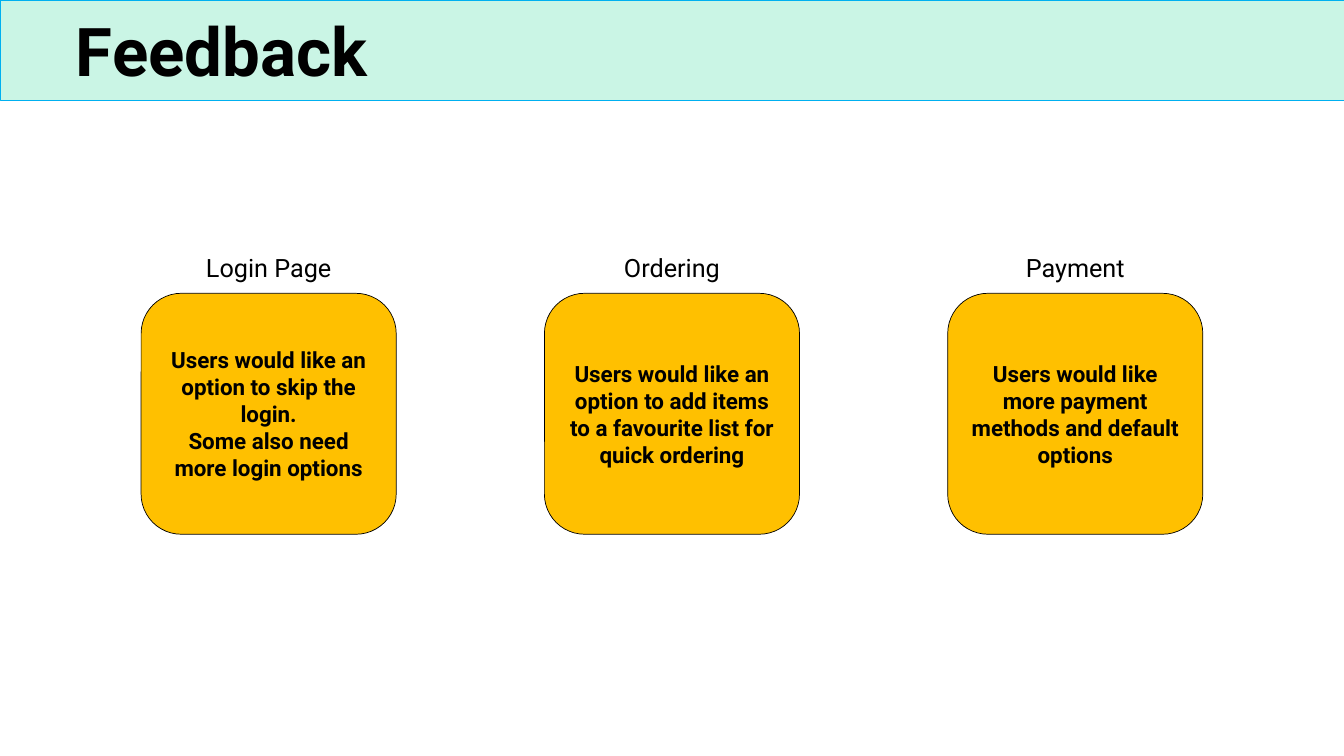
import pptx
import pptx.dml.color
import pptx.enum.shapes
import pptx.enum.text
import pptx.util

Inches = pptx.util.Inches
Pt = pptx.util.Pt
RGBColor = pptx.dml.color.RGBColor
SHAPE = pptx.enum.shapes.MSO_SHAPE

BLACK = RGBColor(0x00, 0x00, 0x00)
MINT = RGBColor(0xCA, 0xF5, 0xE5)
BLUE = RGBColor(0x00, 0xB0, 0xF0)
AMBER = RGBColor(0xFF, 0xC0, 0x00)
FONT = "Roboto"

SLIDE_WIDTH = 13.33
CARD_LEFT, CARD_TOP, CARD_PITCH = 1.4, 2.91, 4
CARD_WIDTH, CARD_HEIGHT = 2.53, 2.39

FEEDBACK = [
    ("Login Page", ["Users would like an option to skip the login.",
                    "Some also need more login options"]),
    ("Ordering", ["Users would like an option to add items to a favourite "
                  "list for quick ordering"]),
    ("Payment", ["Users would like more payment methods and default options"]),
]


def write_centred(tf, lines, size, bold=False):
    tf.word_wrap = True
    for i, line in enumerate(lines):
        p = tf.paragraphs[0] if i == 0 else tf.add_paragraph()
        p.text = line
        p.alignment = pptx.enum.text.PP_ALIGN.CENTER
        p.font.name = FONT
        p.font.size = Pt(size)
        p.font.bold = bold
        p.font.color.rgb = BLACK


def add_label(s, left, top, width, height, text, size, bold=False):
    box = s.shapes.add_textbox(Inches(left), Inches(top),
                               Inches(width), Inches(height))
    write_centred(box.text_frame, [text], size, bold)


def add_panel(s, kind, left, top, width, height, fill, line):
    sp = s.shapes.add_shape(kind, Inches(left), Inches(top),
                            Inches(width), Inches(height))
    sp.shadow.inherit = False
    sp.fill.solid()
    sp.fill.fore_color.rgb = fill
    sp.line.color.rgb = line
    sp.line.width = Pt(0.5)
    return sp


def add_header(s, left, top, width, height, title):
    add_panel(s, SHAPE.RECTANGLE, left, top, width, height, MINT, BLUE)
    add_label(s, left, top + 0.04, 4.4, 0.91, title, 48, bold=True)


def add_card(s, left, top, width, height, heading, lines):
    """Add a rounded card with its heading centred just above it."""
    card = add_panel(s, SHAPE.ROUNDED_RECTANGLE, left, top, width, height,
                     AMBER, BLACK)
    card.text_frame.vertical_anchor = pptx.enum.text.MSO_ANCHOR.MIDDLE
    write_centred(card.text_frame, lines, 16, bold=True)
    label_width = 1.64
    add_label(s, left + (width - label_width) / 2, top - 0.46,
              label_width, 0.4, heading, 18)


def main():
    prs = pptx.Presentation()
    prs.slide_width = Inches(SLIDE_WIDTH)
    prs.slide_height = Inches(7.5)
    s = prs.slides.add_slide(prs.slide_layouts[6])
    add_header(s, 0, 0, SLIDE_WIDTH, 1, "Feedback")
    for i, (heading, lines) in enumerate(FEEDBACK):
        add_card(s, CARD_LEFT + i * CARD_PITCH, CARD_TOP,
                 CARD_WIDTH, CARD_HEIGHT, heading, lines)
    prs.save("out.pptx")


if __name__ == "__main__":
    main()
